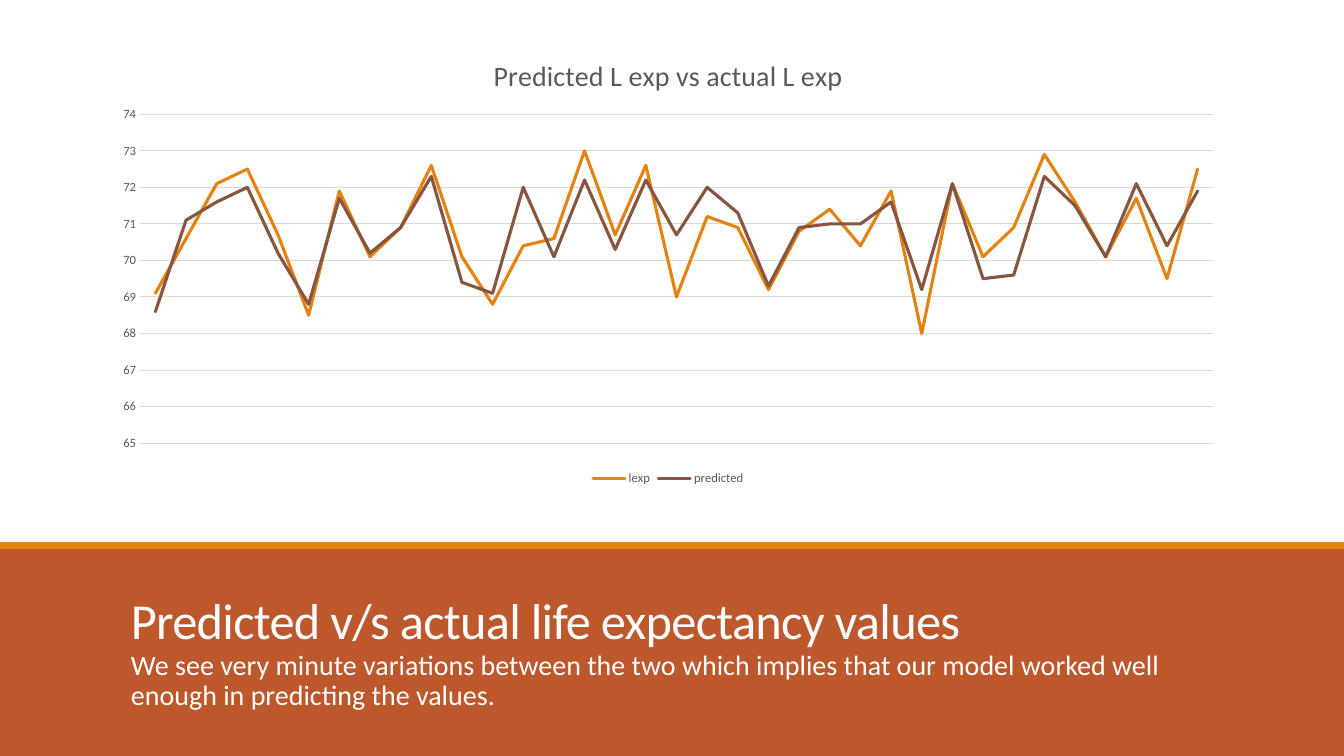
from dataclasses import dataclass

from lxml.etree import SubElement
from pptx import Presentation
from pptx.chart.data import CategoryChartData
from pptx.dml.color import RGBColor
from pptx.enum.chart import XL_CHART_TYPE, XL_LEGEND_POSITION, XL_TICK_MARK
from pptx.enum.shapes import MSO_SHAPE
from pptx.enum.text import MSO_ANCHOR
from pptx.oxml.ns import qn
from pptx.util import Cm, Pt


@dataclass(frozen=True)
class Theme:
    font: str = "Calibri"
    rust: RGBColor = RGBColor(0xBD, 0x58, 0x2C)
    orange: RGBColor = RGBColor(0xE4, 0x83, 0x12)
    brown: RGBColor = RGBColor(0x86, 0x56, 0x40)
    white: RGBColor = RGBColor(0xFF, 0xFF, 0xFF)
    grey: RGBColor = RGBColor(0x59, 0x59, 0x59)
    grid: RGBColor = RGBColor(0xD9, 0xD9, 0xD9)
    headline_size: Pt = Pt(36)
    body_size: Pt = Pt(20)
    label_size: Pt = Pt(9)


@dataclass(frozen=True)
class Box:
    left: float
    top: float
    width: float
    height: float

    def lengths(self) -> tuple:
        return Cm(self.left), Cm(self.top), Cm(self.width), Cm(self.height)


@dataclass(frozen=True)
class Band:
    box: Box
    color: RGBColor


@dataclass(frozen=True)
class Caption:
    text: str
    box: Box
    size: Pt
    anchor: MSO_ANCHOR
    line_spacing: float
    space_after: Pt
    tracking: int


@dataclass(frozen=True)
class Curve:
    name: str
    color: RGBColor
    years: tuple


THEME = Theme()
SLIDE_WIDTH, SLIDE_HEIGHT = 33.87, 19.05
CHART_BOX = Box(2.54, 0.99, 28.6, 11.35)
PLOT_BOX = Box(0.99, 1.89, 27.04, 8.29)
CHART_TITLE_LEFT, CHART_TITLE_TOP = 9.77, 0.3

BANDS = (
    Band(Box(0, 13.76, SLIDE_WIDTH, 5.29), THEME.rust),
    Band(Box(0, 13.66, SLIDE_WIDTH, 0.17), THEME.orange),
)
CAPTIONS = (
    Caption("Predicted v/s actual life expectancy values",
            Box(3.05, 14.08, 28.09, 2.29), THEME.headline_size,
            MSO_ANCHOR.BOTTOM, 0.85, Pt(0), -50),
    Caption("We see very minute variations between the two which implies that "
            "our model worked well enough in predicting the values.",
            Box(3.05, 16.4, 28.09, 1.65), THEME.body_size,
            MSO_ANCHOR.TOP, 0.9, Pt(6), 0),
)
CURVES = (
    Curve("lexp", THEME.orange, (
        69.1, 70.6, 72.1, 72.5, 70.7, 68.5, 71.9, 70.1, 70.9,
        72.6, 70.1, 68.8, 70.4, 70.6, 73, 70.7, 72.6, 69,
        71.2, 70.9, 69.2, 70.8, 71.4, 70.4, 71.9, 68, 72.1,
        70.1, 70.9, 72.9, 71.6, 70.1, 71.7, 69.5, 72.5)),
    Curve("predicted", THEME.brown, (
        68.6, 71.1, 71.6, 72, 70.2, 68.8, 71.7, 70.2, 70.9,
        72.3, 69.4, 69.1, 72, 70.1, 72.2, 70.3, 72.2, 70.7,
        72, 71.3, 69.3, 70.9, 71, 71, 71.6, 69.2, 72.1,
        69.5, 69.6, 72.3, 71.5, 70.1, 72.1, 70.4, 71.9)),
)


def style_font(font, size: Pt, color: RGBColor) -> None:
    font.name = THEME.font
    font.size = size
    font.bold = False
    font.color.rgb = color


def draw_band(slide, band: Band) -> None:
    strip = slide.shapes.add_shape(MSO_SHAPE.RECTANGLE, *band.box.lengths())
    strip.shadow.inherit = False
    strip.fill.solid()
    strip.fill.fore_color.rgb = band.color
    strip.line.fill.background()


def draw_caption(slide, caption: Caption) -> None:
    frame = slide.shapes.add_textbox(*caption.box.lengths()).text_frame
    frame.word_wrap = True
    frame.vertical_anchor = caption.anchor
    frame.margin_top = frame.margin_bottom = 0
    paragraph = frame.paragraphs[0]
    wording = paragraph.add_run()
    wording.text = caption.text
    paragraph.line_spacing = caption.line_spacing
    paragraph.space_after = caption.space_after
    style_font(paragraph.font, caption.size, THEME.white)
    if caption.tracking:
        wording.font._element.set("spc", str(caption.tracking))


def place_in_chart(element, index: int, **settings) -> None:
    for unused in element.findall(qn("c:layout")):
        element.remove(unused)
    layout = SubElement(element, qn("c:layout"))
    manual = SubElement(layout, qn("c:manualLayout"))
    for tag, setting in settings.items():
        SubElement(manual, qn(f"c:{tag}")).set("val", str(setting))
    element.insert(index, layout)


def draw_chart(slide) -> None:
    life_data = CategoryChartData(number_format="General")
    life_data.categories = [str(n + 1) for n in range(len(CURVES[0].years))]
    for curve in CURVES:
        life_data.add_series(curve.name, curve.years)
    chart = slide.shapes.add_chart(
        XL_CHART_TYPE.LINE, *CHART_BOX.lengths(), life_data).chart
    style_font(chart.font, THEME.label_size, THEME.grey)

    chart.has_title = True
    heading = chart.chart_title.text_frame.paragraphs[0]
    heading.text = "Predicted L exp vs actual L exp"
    style_font(heading.font, THEME.body_size, THEME.grey)
    place_in_chart(chart.chart_title._element, 1, xMode="edge", yMode="edge",
                   x=CHART_TITLE_LEFT / CHART_BOX.width,
                   y=CHART_TITLE_TOP / CHART_BOX.height)
    place_in_chart(chart._chartSpace.chart.plotArea, 0, layoutTarget="inner",
                   xMode="edge", yMode="edge",
                   x=PLOT_BOX.left / CHART_BOX.width,
                   y=PLOT_BOX.top / CHART_BOX.height,
                   w=PLOT_BOX.width / CHART_BOX.width,
                   h=PLOT_BOX.height / CHART_BOX.height)

    chart.has_legend = True
    chart.legend.position = XL_LEGEND_POSITION.BOTTOM
    chart.legend.include_in_layout = False
    style_font(chart.legend.font, THEME.label_size, THEME.grey)

    chart.category_axis.visible = False
    ages = chart.value_axis
    ages.minimum_scale, ages.maximum_scale, ages.major_unit = 65, 74, 1
    ages.major_tick_mark = ages.minor_tick_mark = XL_TICK_MARK.NONE
    ages.format.line.fill.background()
    ages.major_gridlines.format.line.color.rgb = THEME.grid
    ages.major_gridlines.format.line.width = Pt(0.75)
    style_font(ages.tick_labels.font, THEME.label_size, THEME.grey)

    chart.plots[0].vary_by_categories = False
    for series, curve in zip(chart.plots[0].series, CURVES):
        series.smooth = False
        series.format.line.color.rgb = curve.color
        series.format.line.width = Pt(2.25)
        series._element.spPr.find(qn("a:ln")).set("cap", "rnd")


def main() -> None:
    deck = Presentation()
    deck.slide_width, deck.slide_height = Cm(SLIDE_WIDTH), Cm(SLIDE_HEIGHT)
    slide = deck.slides.add_slide(deck.slide_layouts[6])
    for band in BANDS:
        draw_band(slide, band)
    for caption in CAPTIONS:
        draw_caption(slide, caption)
    draw_chart(slide)
    deck.save("out.pptx")


if __name__ == "__main__":
    main()
